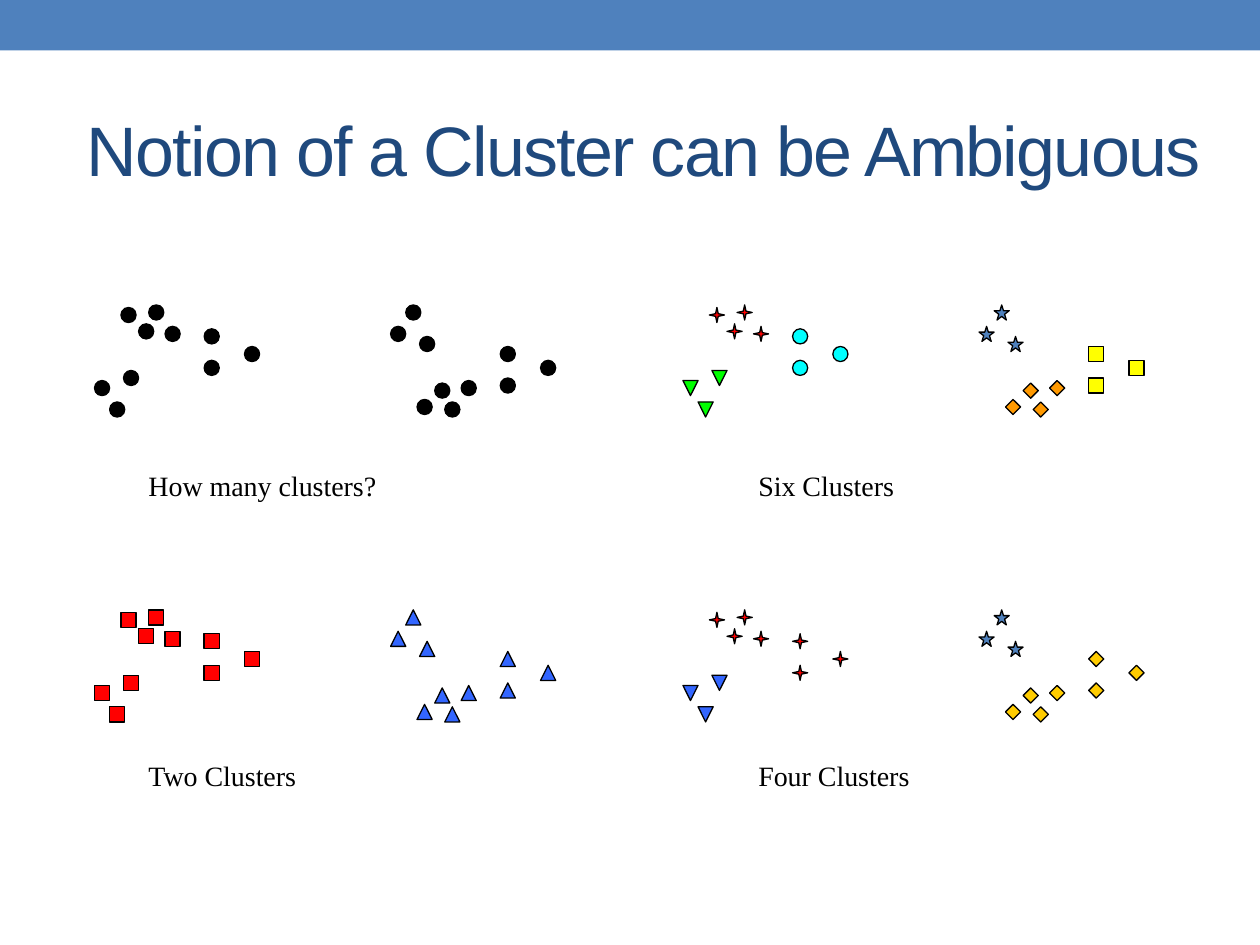
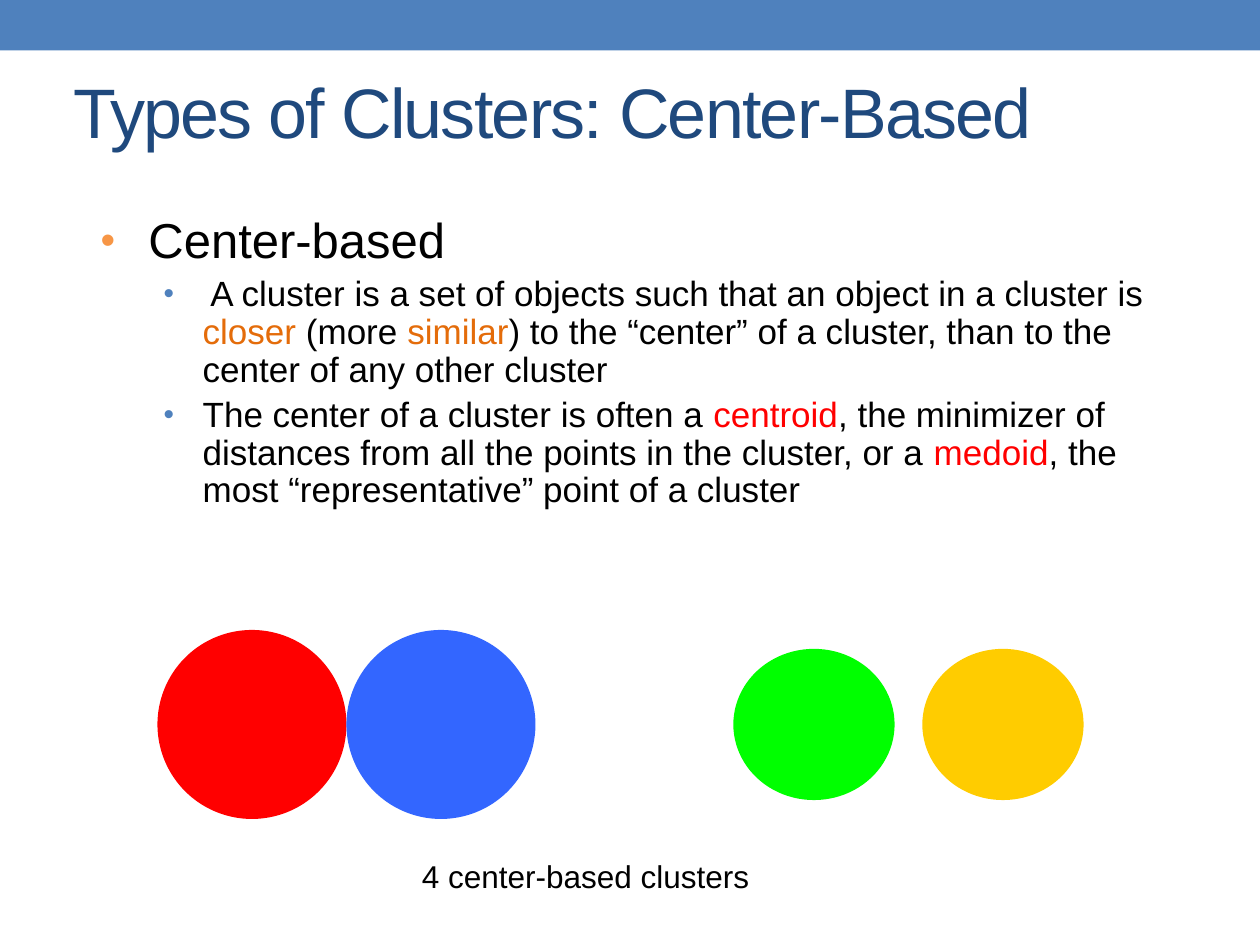
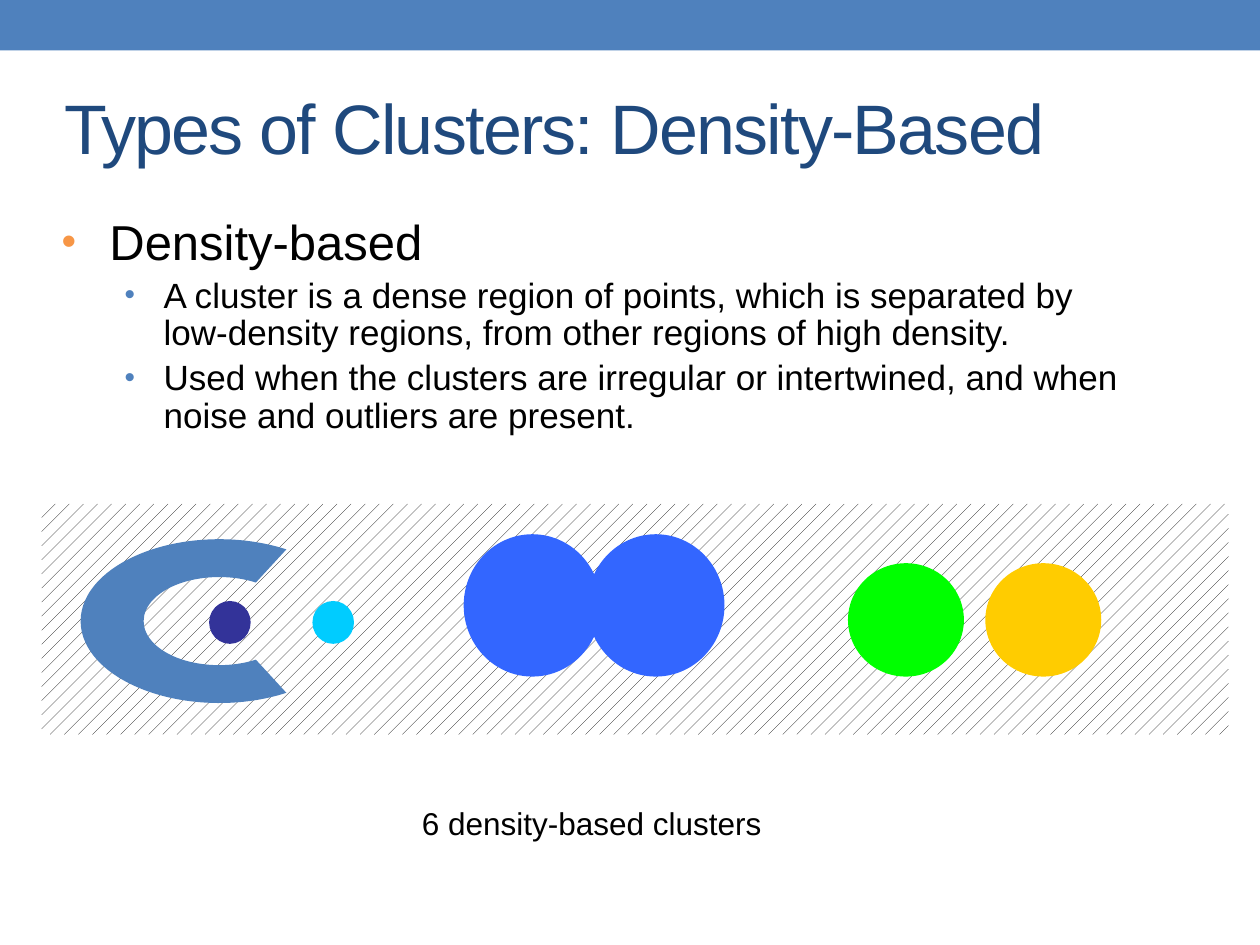
from dataclasses import dataclass
from math import cos, radians, sin, tan

from lxml.etree import Element, SubElement
from pptx import Presentation
from pptx.dml.color import RGBColor
from pptx.enum.dml import MSO_PATTERN
from pptx.enum.shapes import MSO_SHAPE as Kind
from pptx.enum.text import MSO_ANCHOR, PP_ALIGN
from pptx.oxml.ns import qn
from pptx.util import Inches, Pt


@dataclass(frozen=True)
class Theme:
    sans: str = "Arial"
    serif: str = "Times New Roman"
    head: int = 40
    lead: int = 28
    sub: int = 20
    note: int = 18
    label: int = 16
    black: str = "000000"
    white: str = "FFFFFF"
    navy: str = "1F497D"
    steel: str = "4F81BD"
    rust: str = "F79646"
    amber: str = "E46C0A"
    orange: str = "FF9900"
    gold: str = "FFCC00"
    yellow: str = "FFFF00"
    red: str = "FF0000"
    blue: str = "3366FF"
    green: str = "00FF00"
    cyan: str = "00FFFF"
    sky: str = "00CCFF"
    indigo: str = "333399"


T = Theme()


def draw(shapes, kind, box, fill, line=None):
    """Add a preset shape with a plain fill and an optional thin outline."""
    shape = shapes.add_shape(kind, *map(Inches, box))
    shape.shadow.inherit = False
    shape.fill.solid()
    shape.fill.fore_color.rgb = RGBColor.from_string(fill)
    if line:
        shape.line.color.rgb = RGBColor.from_string(line)
        shape.line.width = Pt(0.75)
    else:
        shape.line.fill.background()
    return shape


def write(para, runs, face, size, color):
    """Fill a paragraph with (text, colour) runs; None keeps the base colour."""
    para.font.name = face
    para.font.size = Pt(size)
    para.font.color.rgb = RGBColor.from_string(color)
    para.alignment = PP_ALIGN.LEFT
    for text, tint in runs:
        run = para.add_run()
        run.text = text
        if tint:
            run.font.color.rgb = RGBColor.from_string(tint)


prs = Presentation()
prs.slide_width, prs.slide_height = Inches(10), Inches(7.5)

# Slides and titles
heads = [
    ("Notion of a Cluster can be Ambiguous", (0.59, 0.59, 9.06, 1.17)),
    ("Types of Clusters: Center-Based", (0.48, 0.25, 9.06, 1.25)),
    ("Types of Clusters: Density-Based", (0.41, 0.34, 9.06, 1.33)),
]
slides = []
for text, box in heads:
    slide = prs.slides.add_slide(prs.slide_layouts[5])
    title = slide.shapes.title
    title.left, title.top, title.width, title.height = map(Inches, box)
    title.text_frame.vertical_anchor = MSO_ANCHOR.MIDDLE
    write(title.text_frame.paragraphs[0], [(text, None)], T.sans, T.head, T.navy)
    for font in title.element.iter(qn("a:defRPr")):
        font.set("spc", "-100")
    slides.append(slide)
vague, center, dense = slides

# Top band, moved to the master so that all slides share it
band = draw(vague.shapes, Kind.RECTANGLE, (0, 0, 10, 0.4), T.steel)
prs.slide_master.shapes.element.append(band.element)

# Point sets: the right half mirrors the left half top to bottom
dots = [
    [(1.31, 2.59), (0.96, 2.44), (1.18, 2.42), (1.10, 2.57)],
    [(0.98, 2.94), (0.75, 3.02), (0.87, 3.19)],
    [(1.62, 2.61), (1.94, 2.75), (1.62, 2.86)],
]
dot = (Kind.OVAL, T.black)
box = (Kind.RECTANGLE, T.red)
peak = (Kind.ISOSCELES_TRIANGLE, T.blue)
spark = (Kind.STAR_4_POINT, T.red)
star = (Kind.STAR_5_POINT, T.steel)
gem = (Kind.DIAMOND, T.gold)
drop = (Kind.FLOWCHART_EXTRACT, T.blue)
lime = (Kind.ISOSCELES_TRIANGLE, T.green)
ring = (Kind.OVAL, T.cyan)
kite = (Kind.DIAMOND, T.orange)
tile = (Kind.RECTANGLE, T.yellow)
panels = [
    ("How many clusters?", 0, 0, [dot] * 3, [dot] * 3),
    ("Four Clusters", 1, 1, [spark, drop, spark], [gem, star, gem]),
    ("Two Clusters", 0, 1, [box] * 3, [peak] * 3),
    ("Six Clusters", 1, 0, [spark, lime, ring], [kite, star, tile]),
]
for text, col, row, left, right in panels:
    group = vague.shapes.add_group_shape().shapes
    for looks, flip in ((right, False), (left, True)):
        for (kind, fill), spots in zip(looks, dots):
            for x, y in spots:
                if not flip:
                    x, y = x + 2.35, 5.61 - y
                spot = (x + 4.67 * col, y + 2.42 * row, 0.12, 0.12)
                mark = draw(group, kind, spot, fill, T.black)
                if flip:
                    mark.element.spPr.find(qn("a:xfrm")).set("flipV", "1")
    label = group.add_textbox(Inches(1.08 + 4.84 * col), Inches(3.67 + 2.3 * row),
                              Inches(2.5), Inches(0.37))
    label.text_frame.word_wrap = True
    write(label.text_frame.paragraphs[0], [(text, None)], T.serif, T.label, T.black)

# Bullets and captions of the two type slides
types = [
    (center, (0.7, 1.67), [
        [("Center-based", None)],
        [(" A cluster is a set of objects such that an object in a cluster is ", None),
         ("closer", T.amber), (" (more ", None), ("similar", T.amber),
         (") to the “center” of a cluster, than to the center of any other cluster", None)],
        [("The center of a cluster is often a ", None), ("centroid", T.red),
         (", the minimizer of distances from all the points in the cluster, or a ", None),
         ("medoid", T.red), (", the most “representative” point of a cluster", None)],
    ], "4 center-based clusters", 6.75),
    (dense, (0.39, 1.68), [
        [("Density-based", None)],
        [("A cluster is a dense region of points, which is separated by "
          "low-density regions, from other regions of high density.", None)],
        [("Used when the clusters are irregular or intertwined, and when "
          "noise and outliers are present.", None)],
    ], "6 density-based clusters", 6.33),
]
for slide, (x, y), items, text, low in types:
    body = slide.shapes.add_textbox(Inches(x), Inches(y), Inches(8.75), Inches(5.59))
    frame = body.text_frame
    frame.word_wrap = True
    for i, runs in enumerate(items):
        para = frame.add_paragraph() if i else frame.paragraphs[0]
        para.line_spacing = 0.9
        if i:
            para.level = 1
            para.space_before = Pt(0.2 * T.sub)
        write(para, runs, T.sans, T.sub if i else T.lead, T.black)

    # Bullet marks and indents
    for i, props in enumerate(body.element.iter(qn("a:pPr"))):
        edge, hang, tint = (0.81, 0.31, T.steel) if i else (0.38, 0.38, T.rust)
        props.set("marL", str(Inches(edge)))
        props.set("indent", str(-Inches(hang)))
        font = props.find(qn("a:defRPr"))
        color = SubElement(props, qn("a:buClr"))
        SubElement(color, qn("a:srgbClr")).set("val", tint)
        SubElement(props, qn("a:buSzPct")).set("val", "85000")
        SubElement(props, qn("a:buFont")).set("typeface", T.sans)
        SubElement(props, qn("a:buChar")).set("char", "•")
        props.append(font)

    note = slide.shapes.add_textbox(Inches(3.25), Inches(low), Inches(3.5), Inches(0.4))
    note.text_frame.word_wrap = True
    write(note.text_frame.paragraphs[0], [(text, None)], T.sans, T.note, T.black)

# Center-based clusters
for x, y, wide, high, fill in [
    (1.25, 5, 1.5, 1.5, T.red),
    (2.75, 5, 1.5, 1.5, T.blue),
    (5.82, 5.15, 1.28, 1.2, T.green),
    (7.32, 5.15, 1.28, 1.2, T.gold),
]:
    draw(center.shapes, Kind.OVAL, (x, y, wide, high), fill)

# Noise field behind the dense clusters
group = dense.shapes.add_group_shape().shapes
noise = draw(group, Kind.RECTANGLE, (0.33, 4, 9.42, 1.83), T.white)
noise.fill.patterned()
noise.fill.pattern = MSO_PATTERN.PERCENT_10
noise.fill.fore_color.rgb = RGBColor.from_string(T.black)
noise.fill.back_color.rgb = RGBColor.from_string(T.white)

# Open crescent: four curves out, a straight tip, four curves back
rim = []
for wide, high, start, step in ((1.1, 0.65, 61, 59.5), (0.6, 0.35, 299, -59.5)):
    pull = 4 / 3 * tan(radians(step / 4))
    arc = [(cos(radians(start)), sin(radians(start)))]
    for n in range(1, 5):
        c, s = arc[-1]
        turn = radians(start + n * step)
        u, v = cos(turn), sin(turn)
        arc += [(c - pull * s, s + pull * c), (u + pull * v, v - pull * u), (u, v)]
    rim += [(1000 * (1.74 + wide * u), 1000 * (4.93 + high * v)) for u, v in arc]
pen = group.build_freeform(*rim[0], scale=Inches(1) / 1000)
pen.add_line_segments(rim[1:], close=True)
moon = pen.convert_to_shape()
moon.shadow.inherit = False
moon.fill.solid()
moon.fill.fore_color.rgb = RGBColor.from_string(T.steel)
moon.line.fill.background()

# Join each three points of the arcs into one curve
legs = list(moon.element.iter(qn("a:lnTo")))
for first in (0, 3, 6, 9, 13, 16, 19, 22):
    curve = Element(qn("a:cubicBezTo"))
    legs[first].addprevious(curve)
    for leg in legs[first:first + 3]:
        curve.append(leg[0])
        leg.getparent().remove(leg)

# Round dense clusters
for x, y, wide, high, fill in [
    (1.66, 4.77, 0.33, 0.34, T.indigo),
    (2.48, 4.77, 0.33, 0.34, T.sky),
    (6.73, 4.47, 0.92, 0.9, T.green),
    (7.82, 4.47, 0.92, 0.9, T.gold),
    (3.68, 4.24, 1.09, 1.13, T.blue),
    (4.66, 4.24, 1.09, 1.13, T.blue),
]:
    draw(group, Kind.OVAL, (x, y, wide, high), fill)

prs.save("out.pptx")
